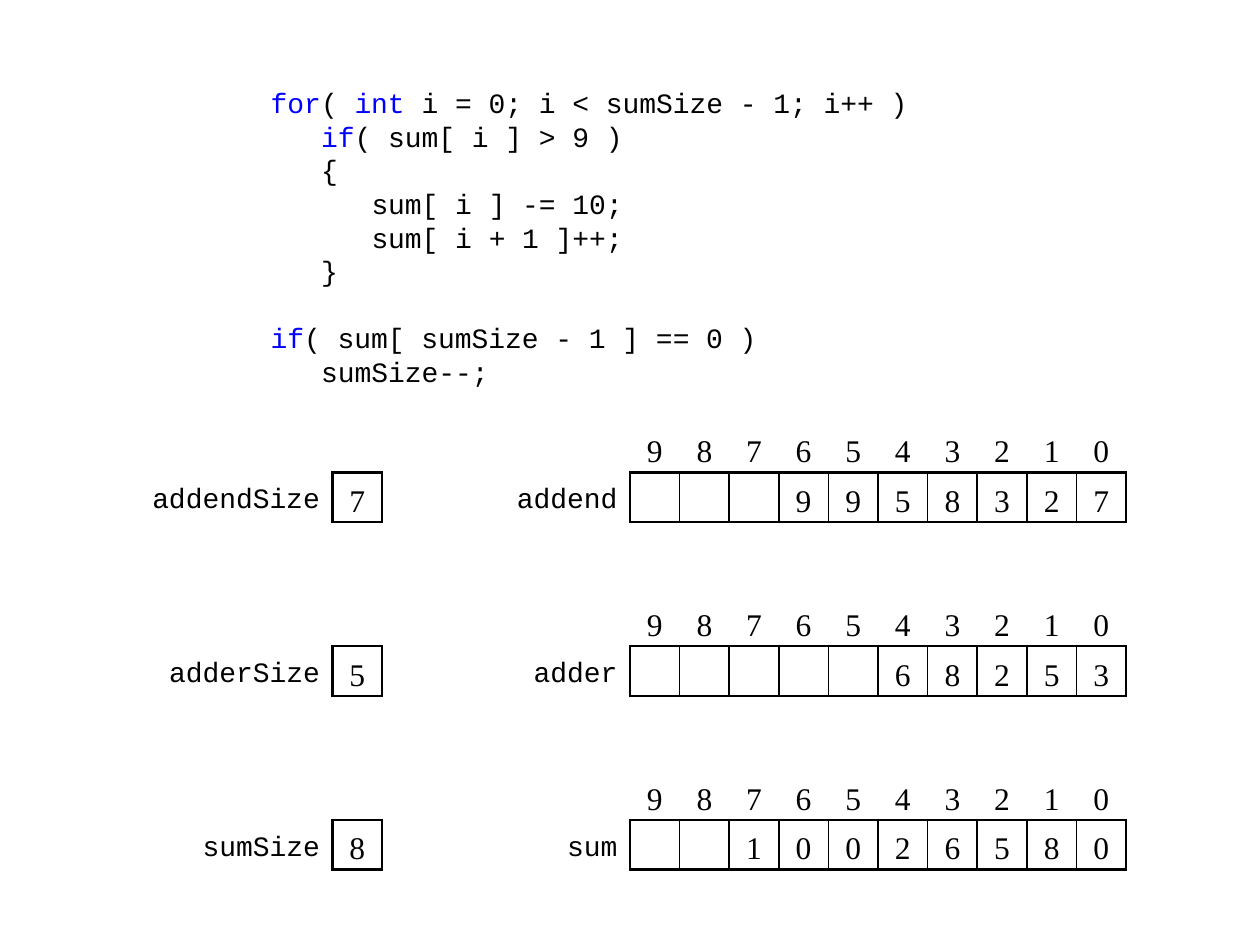
from dataclasses import dataclass

from lxml import etree
from pptx import Presentation
from pptx import util as u
from pptx.dml.color import RGBColor
from pptx.enum import text
from pptx.oxml import ns

BLACK = RGBColor(0x00, 0x00, 0x00)
KEYWORD_BLUE = RGBColor(0x00, 0x00, 0xFF)
CODE_FONT = "Courier New"
DIGIT_FONT = "Times New Roman"

# Layout, in points
CELL = 28.35
CAPACITY = 10
ARRAY_LEFT = 360
SIZE_LEFT = 190
FIRST_TOP = 241.7
ROW_PITCH = 99.2
CODE_LINE = 19.2
CODE_INDENT = 28.8
THICK, THIN = 1.5, 1


@dataclass(frozen=True)
class CodeLine:
    level: int
    tokens: tuple[str, ...]
    gap_before: float = 0


@dataclass(frozen=True)
class Number:
    name: str
    digits: str
    label_cells: float
    size_label_cells: float


@dataclass(frozen=True)
class Borders:
    left: float = 0
    right: float = 0
    top: float = 0
    bottom: float = 0


KEYWORDS = {"for", "int", "if"}
CODE = (
    CodeLine(0, ("for", "( ", "int", " i = 0; i < sumSize - 1; i++ )")),
    CodeLine(1, ("if", "( sum[ i ] > 9 )")),
    CodeLine(1, ("{",)),
    CodeLine(2, ("sum[ i ] -= 10;",)),
    CodeLine(2, ("sum[ i + 1 ]++;",)),
    CodeLine(1, ("}",)),
    CodeLine(0, ("if", "( sum[ sumSize - 1 ] == 0 )"), CODE_LINE),
    CodeLine(1, ("sumSize--;",)),
)
NUMBERS = (
    Number("addend", "9958327", 2.5, 4),
    Number("adder", "68253", 2.5, 4),
    Number("sum", "10026580", 2, 3),
)


def add_run(paragraph, words: str, font: str, size: float, color: RGBColor = BLACK) -> None:
    run = paragraph.add_run()
    run.text = words
    run.font.name = font
    run.font.size = u.Pt(size)
    run.font.color.rgb = color


def add_code(slide, lines: tuple[CodeLine, ...]) -> None:
    box = slide.shapes.add_textbox(u.Pt(147.6), u.Pt(43.2), u.Pt(425.5), u.Pt(184.3))
    frame = box.text_frame
    frame.word_wrap = True
    frame.vertical_anchor = text.MSO_ANCHOR.MIDDLE
    for index, line in enumerate(lines):
        paragraph = frame.add_paragraph() if index else frame.paragraphs[0]
        paragraph.line_spacing = u.Pt(CODE_LINE)
        paragraph.space_before = u.Pt(line.gap_before)
        properties = paragraph._p.get_or_add_pPr()
        properties.set("marL", str(u.Pt(line.level * CODE_INDENT)))
        properties.set("indent", "0")
        for token in line.tokens:
            color = KEYWORD_BLUE if token in KEYWORDS else BLACK
            add_run(paragraph, token, CODE_FONT, 16, color)


def set_borders(cell, borders: Borders) -> None:
    sides = (("lnL", borders.left), ("lnR", borders.right),
             ("lnT", borders.top), ("lnB", borders.bottom))
    properties = cell._tc.get_or_add_tcPr()
    for index, (tag, width) in enumerate(sides):
        line = etree.Element(ns.qn(f"a:{tag}"), w=str(u.Pt(width)))
        if width:
            fill = etree.SubElement(line, ns.qn("a:solidFill"))
            etree.SubElement(fill, ns.qn("a:srgbClr"), val=str(BLACK))
        else:
            etree.SubElement(line, ns.qn("a:noFill"))
        properties.insert(index, line)


def fill_cell(cell, words: str, borders: Borders, is_label: bool = False) -> None:
    cell.fill.background()
    cell.vertical_anchor = text.MSO_ANCHOR.MIDDLE
    cell.margin_left = u.Pt(3 if is_label else 0)
    cell.margin_right = u.Pt(7.2 if is_label else 0)
    cell.margin_top = cell.margin_bottom = u.Pt(0)
    paragraph = cell.text_frame.paragraphs[0]
    paragraph.alignment = text.PP_ALIGN.RIGHT if is_label else text.PP_ALIGN.CENTER
    paragraph.line_spacing = 1.25
    if words:
        add_run(paragraph, words, CODE_FONT if is_label else DIGIT_FONT, 16 if is_label else 18)
    set_borders(cell, borders)


def add_grid(slide, rows: int, digits: int, left: float, top: float, label_width: float):
    """Add a plain table: one label column, then square cells starting at left."""
    table = slide.shapes.add_table(
        rows, digits + 1, u.Pt(left - label_width), u.Pt(top),
        u.Pt(label_width + digits * CELL), u.Pt(rows * CELL)).table
    table.first_row = table.horz_banding = False
    for index, column in enumerate(table.columns):
        column.width = u.Pt(CELL if index else label_width)
    for row in table.rows:
        row.height = u.Pt(CELL)
    return table


def add_array(slide, number: Number, top: float) -> None:
    table = add_grid(slide, 2, CAPACITY, ARRAY_LEFT, top, number.label_cells * CELL)
    fill_cell(table.cell(0, 0), "", Borders())
    fill_cell(table.cell(1, 0), number.name, Borders(right=THICK), is_label=True)
    for column, digit in enumerate(number.digits.rjust(CAPACITY), start=1):
        fill_cell(table.cell(0, column), str(CAPACITY - column), Borders(bottom=THICK))
        borders = Borders(THICK if column == 1 else THIN,
                          THICK if column == CAPACITY else THIN, THICK, THICK)
        fill_cell(table.cell(1, column), digit.strip(), borders)


def add_size(slide, number: Number, top: float) -> None:
    table = add_grid(slide, 1, 1, SIZE_LEFT, top, number.size_label_cells * CELL)
    fill_cell(table.cell(0, 0), f"{number.name}Size", Borders(right=THICK), is_label=True)
    fill_cell(table.cell(0, 1), str(len(number.digits)), Borders(THICK, THICK, THICK, THICK))


def main() -> None:
    presentation = Presentation()
    presentation.slide_width, presentation.slide_height = u.Pt(720), u.Pt(540)
    slide = presentation.slides.add_slide(presentation.slide_layouts[6])

    # Carry loop
    add_code(slide, CODE)

    # Digit arrays with their sizes
    for index, number in enumerate(NUMBERS):
        top = FIRST_TOP + index * ROW_PITCH
        add_array(slide, number, top)
        add_size(slide, number, top + CELL)

    presentation.save("out.pptx")


if __name__ == "__main__":
    main()
